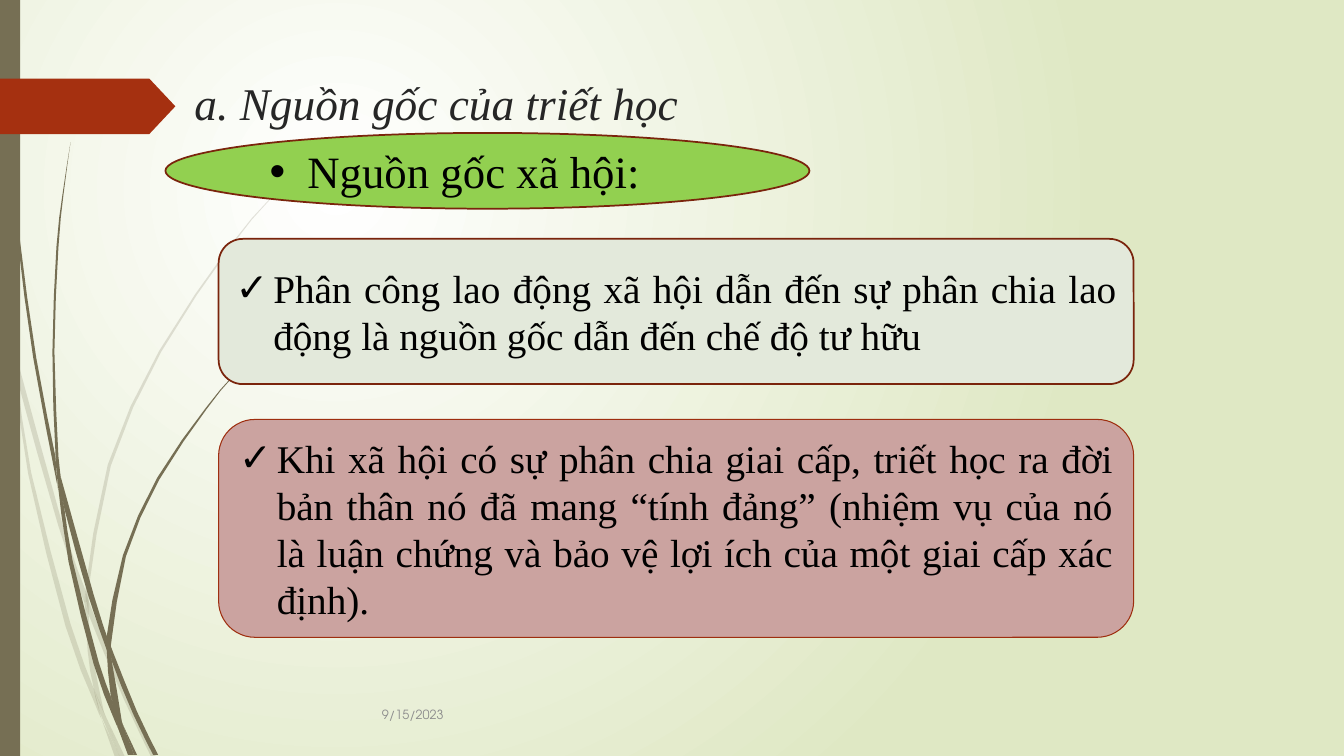
from dataclasses import dataclass

from lxml.etree import SubElement
from pptx import Presentation
from pptx.dml.color import RGBColor
from pptx.enum.shapes import MSO_SHAPE as Shape
from pptx.enum.text import MSO_ANCHOR as Anchor, PP_ALIGN as Align
from pptx.oxml.ns import qn
from pptx.util import Cm, Pt


@dataclass(frozen=True)
class Theme:
    white: str = "FFFFFF"
    pale_green: str = "DFE8C4"
    bark: str = "766F54"
    rust: str = "A53010"
    dark_rust: str = "7A240C"
    mid_rust: str = "9E2E0F"
    lime: str = "92D050"
    sage: str = "E3E9DB"
    rose: str = "CBA3A0"
    ink: str = "000000"
    title_ink: str = "262626"
    grey: str = "8C8C8C"
    serif: str = "Times New Roman"
    sans: str = "TeX Gyre Adventor"
    bullet_font: str = "Arial"
    title_size: float = 32.4
    heading_size: float = 32
    body_size: float = 28
    date_size: float = 9


THEME = Theme()
CM_PER_UNIT = 2.54
CURVE_STEPS = 2

# Each blade of grass is a pair of edges: one going down, one coming back up.
PALE_BLADES = [
    ([(0, 2.82), (.09, 3.22), (.11, 3.5)], [(.1, 3.44), (0, 2.99)]),
    ([(.14, 3.45), (.17, 3.76), (.58, 5.22), (.84, 5.99)], [(.85, 5.86), (.62, 5.2), (.14, 3.45)]),
    ([(.88, 5.96), (.88, 6.1), (1.23, 6.94), (1.5, 7.51)], [(1.55, 7.51), (1.27, 6.92), (.92, 6.07)]),
    ([(1.05, 7.11), (1.19, 7.51)], [(1.24, 7.51), (1.05, 7.11)]),
    ([(.11, 3.5), (.28, 4.7), (.65, 6.21), (.92, 6.93), (1.01, 7.14)],
     [(.99, 7.07), (.93, 6.83), (.7, 6.19), (.31, 4.69), (.17, 3.76), (.11, 3.5)]),
    ([(.84, 5.99), (.87, 6.46), (.93, 6.83), (1.05, 7.11)], [(1.03, 7.06), (.91, 6.46), (.88, 6.1)]),
    ([(3.12, 1.53), (2.68, 1.97), (2.28, 2.44), (1.58, 3.48), (1.07, 4.61), (.85, 5.84), (.88, 5.96)],
     [(.88, 5.84), (1.1, 4.62), (1.6, 3.49), (2.29, 2.45), (2.68, 1.98), (3.12, 1.54)]),
    ([(1.01, 7.14), (1.14, 7.51)], [(1.19, 7.51), (1.01, 7.14)]),
    ([(.85, 5.86), (.84, 5.99), (.88, 6.1)], [(.88, 5.96), (.85, 5.86)]),
    ([(.93, 6.83), (.99, 7.07), (1.19, 7.51)], [(1.05, 7.11), (.93, 6.83)]),
]
DARK_BLADES = [
    ([(.03, 0), (.04, .48), (.07, 1.1), (.17, 2.33), (.33, 3.55), (.56, 4.77), (.57, 4.81)],
     [(.55, 4.53), (.36, 3.55), (.19, 2.32), (.08, 1.09), (.05, .48), (.04, 0)]),
    ([(.6, 4.72), (.64, 5.05), (.88, 5.92), (1.06, 6.45)], [(1.06, 6.31), (.93, 5.9), (.6, 4.72)]),
    ([(1.1, 6.41), (1.11, 6.56), (1.32, 7.08), (1.52, 7.49)], [(1.57, 7.49), (1.36, 7.06), (1.13, 6.49)]),
    ([(.57, 4.77), (.68, 5.57), (.93, 6.59), (1.11, 7.08), (1.17, 7.22)],
     [(1.16, 7.17), (1.1, 6.91), (.98, 6.57), (.72, 5.56), (.64, 5.05), (.57, 4.77)]),
    ([(.7, 1.41), (.62, 1.93), (.56, 2.45), (.52, 3.49), (.55, 4.49), (.6, 4.72)],
     [(.58, 4.53), (.54, 3.49), (.58, 2.45), (.63, 1.93), (.7, 1.41)]),
    ([(1.22, 7.19), (1.33, 7.49)], [(1.36, 7.49), (1.22, 7.19)]),
    ([(.55, 4.49), (.57, 4.77), (.64, 5.05)], [(.6, 4.72), (.55, 4.49)]),
    ([(2.6, 3.44), (2.31, 3.73), (2.04, 4.05), (1.56, 4.74), (1.22, 5.51), (1.06, 6.31), (1.1, 6.41)],
     [(1.11, 6.33), (1.25, 5.52), (1.58, 4.76), (2.05, 4.06), (2.31, 3.74), (2.6, 3.44)]),
    ([(1.17, 7.22), (1.27, 7.49)], [(1.31, 7.49), (1.17, 7.22)]),
    ([(1.06, 6.45), (1.1, 6.91), (1.22, 7.19)], [(1.21, 7.16), (1.11, 6.56), (1.06, 6.45)]),
    ([(1.06, 6.31), (1.06, 6.45), (1.11, 6.56)], [(1.1, 6.41), (1.06, 6.31)]),
    ([(1.1, 6.91), (1.17, 7.22), (1.3, 7.49)], [(1.33, 7.49), (1.22, 7.19), (1.1, 6.91)]),
]


def colour(value):
    return RGBColor.from_string(value)


def paint_background(page):
    """Radial gradient centred a quarter of the way in from the top left."""
    fill = page.background.fill
    fill.gradient()
    for stop, value in zip(fill.gradient_stops, (THEME.white, THEME.pale_green)):
        stop.color.rgb = colour(value)
    gradient = page.element.find(".//" + qn("a:gradFill"))
    gradient.remove(gradient.find(qn("a:lin")))
    centre = SubElement(gradient, qn("a:path"), path="circle")
    SubElement(centre, qn("a:fillToRect"), l="50000", t="50000", r="100000", b="100000")


def style(shape, fill, line=None, width=1):
    shape.shadow.inherit = False
    shape.fill.solid()
    shape.fill.fore_color.rgb = colour(fill)
    if line:
        shape.line.color.rgb = colour(line)
        shape.line.width = Pt(width)
    else:
        shape.line.fill.background()


def add_block(page, kind, place, fill, **outline):
    shape = page.shapes.add_shape(kind, *map(Cm, place))
    style(shape, fill, **outline)
    return shape


def smooth(points):
    """Catmull-Rom curve through the points, in slide units."""
    ends = [points[0], *points, points[-1]]
    curve = []
    for a, b, c, d in zip(ends, ends[1:], ends[2:], ends[3:]):
        for step in range(CURVE_STEPS):
            t = step / CURVE_STEPS
            curve.append(tuple(
                Cm(CM_PER_UNIT * (q + t * (r - p) / 2
                                  + t * t * (2 * p - 5 * q + 4 * r - s) / 2
                                  + t ** 3 * (3 * q - p - 3 * r + s) / 2))
                for p, q, r, s in zip(a, b, c, d)))
    curve.append(tuple(Cm(CM_PER_UNIT * value) for value in points[-1]))
    return curve


def add_blade(page, down_edge, up_edge, opacity=None):
    start, *rest = smooth(down_edge) + smooth(up_edge)
    builder = page.shapes.build_freeform(*start)
    builder.add_line_segments(rest, close=True)
    blade = builder.convert_to_shape()
    style(blade, THEME.bark)
    if opacity:
        tint = blade.element.spPr.find(qn("a:solidFill"))[0]
        SubElement(tint, qn("a:alpha"), val=str(opacity * 1000))


def write_text(shape, text, *, size, font=THEME.serif, ink=THEME.ink, align=Align.LEFT,
               anchor=Anchor.MIDDLE, italic=False, bullet=None):
    frame = shape.text_frame
    frame.word_wrap = True
    frame.vertical_anchor = anchor
    para = frame.paragraphs[0]
    para.alignment = align
    if bullet:
        properties = para._p.get_or_add_pPr()
        indent = Cm(0.95)
        properties.set("marL", str(indent))
        properties.set("indent", str(-indent))
        SubElement(properties, qn("a:buFont"), typeface=THEME.bullet_font)
        SubElement(properties, qn("a:buChar"), char=bullet)
    span = para.add_run()
    span.text = text
    span.font.name = font
    span.font.size = Pt(size)
    span.font.italic = italic
    span.font.color.rgb = colour(ink)


def add_label(page, place, text, **text_format):
    write_text(page.shapes.add_textbox(*map(Cm, place)), text, **text_format)


def main():
    deck = Presentation()
    deck.slide_width, deck.slide_height = Cm(33.87), Cm(19.05)
    page = deck.slides.add_slide(deck.slide_layouts[6])
    paint_background(page)

    for blade in PALE_BLADES:
        add_blade(page, *blade, opacity=20)
    for blade in DARK_BLADES:
        add_blade(page, *blade)
    add_block(page, Shape.RECTANGLE, (0, 0, 0.51, 19.05), THEME.bark)
    tag = add_block(page, Shape.PENTAGON, (0, 1.98, 4.42, 1.4), THEME.rust)
    tag.adjustments[0] = 0.47

    add_label(page, (4.65, 1.78, 24.77, 1.52), "a. Nguồn gốc của triết học",
              size=THEME.title_size, ink=THEME.title_ink, italic=True, anchor=Anchor.TOP)
    add_label(page, (5.51, 17.35, 5.92, 1.32), "9/15/2023", size=THEME.date_size,
              font=THEME.sans, ink=THEME.grey, align=Align.RIGHT)

    heading = add_block(page, Shape.OVAL, (4.17, 3.35, 16.23, 1.91), THEME.lime,
                        line=THEME.dark_rust, width=1.25)
    write_text(heading, "Nguồn gốc xã hội:", size=THEME.heading_size, bullet="•")

    cards = [
        (6.02, 3.66, THEME.sage, THEME.dark_rust, 1.25,
         "Phân công lao động xã hội dẫn đến sự phân chia lao động là nguồn gốc "
         "dẫn đến chế độ tư hữu"),
        (10.57, 5.49, THEME.rose, THEME.mid_rust, 0.75,
         "Khi xã hội có sự phân chia giai cấp, triết học ra đời bản thân nó đã mang "
         "“tính đảng” (nhiệm vụ của nó là luận chứng và bảo vệ lợi ích của một giai cấp "
         "xác định)."),
    ]
    for top, height, fill, line, width, text in cards:
        card = add_block(page, Shape.ROUNDED_RECTANGLE, (5.51, top, 23.06, height), fill,
                         line=line, width=width)
        write_text(card, text, size=THEME.body_size, align=Align.JUSTIFY, bullet="✓")

    deck.save("out.pptx")


if __name__ == "__main__":
    main()
